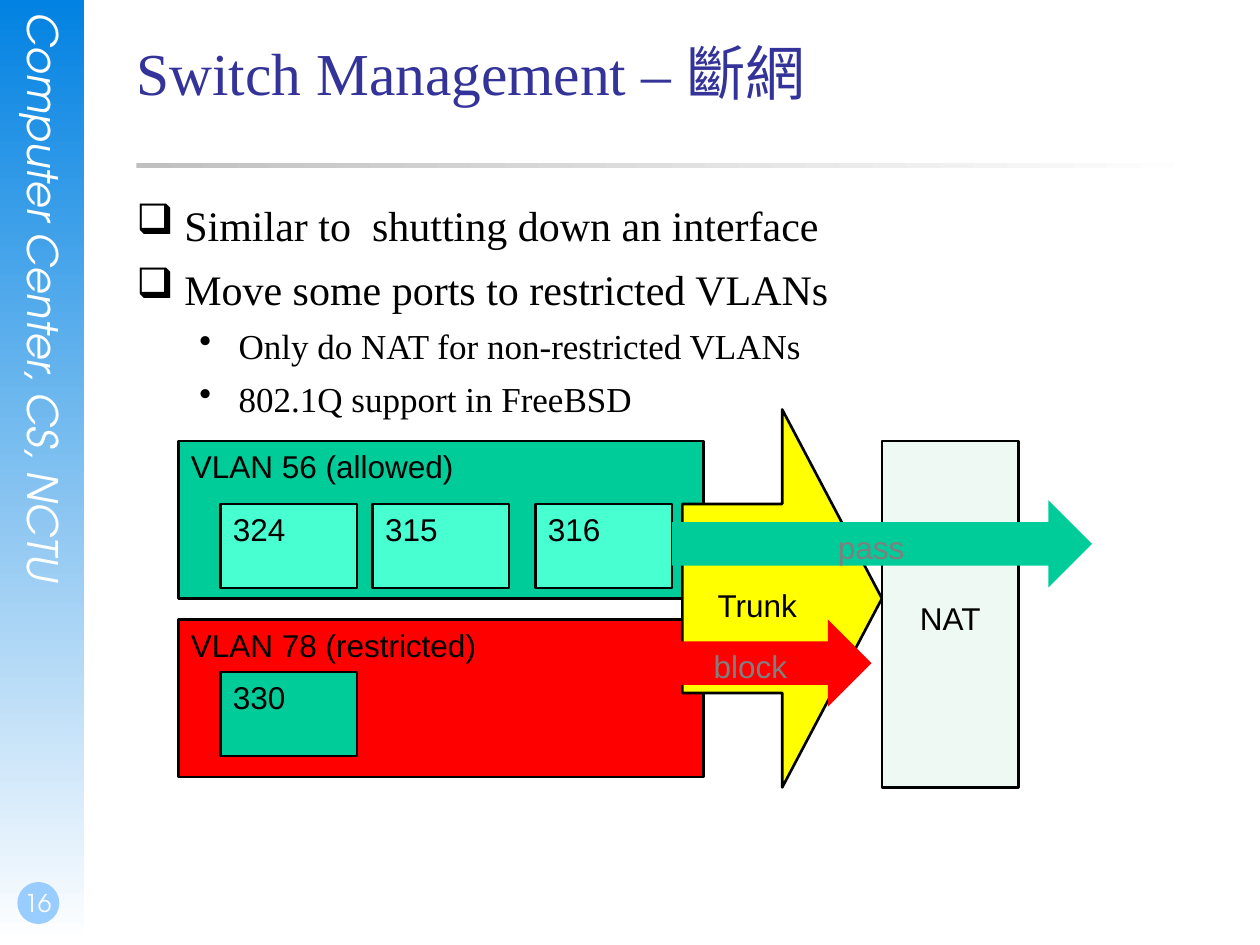
from dataclasses import dataclass
from typing import Optional

from lxml.etree import SubElement
from pptx import Presentation
from pptx.dml.color import RGBColor
from pptx.enum.shapes import MSO_SHAPE as Preset
from pptx.enum.text import MSO_ANCHOR as Anchor, MSO_AUTO_SIZE as AutoSize, PP_ALIGN as Align
from pptx.oxml.ns import qn
from pptx.util import Inches, Pt

COLS, ROWS = 120, 90
COLORS = {
    "sky": "0282E2", "white": "FFFFFF", "silver": "C0C0C0", "badge": "99CCFF",
    "navy": "333399", "black": "000000", "gray": "7F7F7F", "green": "00CC99",
    "mint": "47FFD1", "red": "FF0000", "yellow": "FFFF00", "pale": "EEF9F4",
}
SERIF, SANS, GEOMETRIC = "Times New Roman", "Arial", "TeX Gyre Adventor"


@dataclass
class Block:
    """A labelled diagram shape placed in grid columns and rows."""
    label: str
    col: float
    row: float
    cols: float
    rows: float
    fill: str
    preset: Preset = Preset.RECTANGLE
    align: Align = Align.LEFT
    ink: str = "black"
    line: Optional[str] = "black"
    top: float = 0.05


@dataclass
class Bullet:
    """An outline entry with its marker, indents in inches and sizes in points."""
    text: str
    marker: str
    size: int
    left: float
    hang: float
    before: float


def port(label: str, col: float, row: float, fill: str) -> Block:
    """Describe one switch port."""
    return Block(label, col, row, 13, 8, fill)


def flow(label: str, col: float, row: float, cols: float, fill: str) -> Block:
    """Describe one traffic arrow."""
    return Block(label, col, row, cols, 8.3, fill, Preset.RIGHT_ARROW, Align.CENTER, "gray", None)


DIAGRAM = [
    Block("VLAN 56 (allowed)", 17, 42, 50, 15, "green"),
    *(port(label, col, 48, "mint") for label, col in (("324", 21), ("315", 35.5), ("316", 51))),
    Block("VLAN 78 (restricted)", 17, 59, 50, 15, "red"),
    port("330", 21, 64, "green"),
    Block("Trunk", 65, 39, 19, 36, "yellow", Preset.RIGHT_ARROW, Align.CENTER, top=0.65),
    Block("NAT", 84, 42, 13, 33, "pale", align=Align.CENTER, top=1.25),
    flow("pass", 64, 47.65, 40, "green"),
    flow("block", 62, 59, 21, "red"),
]
OUTLINE = [
    *(Bullet(text, "❑", 24, 0.38, 0.38, 7.5) for text in (
        "Similar to  shutting down an interface", "Move some ports to restricted VLANs")),
    *(Bullet(text, "•", 20, 0.81, 0.31, 6.2) for text in (
        "Only do NAT for non-restricted VLANs", "802.1Q support in FreeBSD")),
]


def rgb(name: str) -> RGBColor:
    """Look up a palette colour."""
    return RGBColor.from_string(COLORS[name])


def cells(prs, col: float, row: float, cols: float, rows: float) -> tuple:
    """Turn grid units into left, top, width and height."""
    across, down = prs.slide_width / COLS, prs.slide_height / ROWS
    return tuple(int(v) for v in (col * across, row * down, cols * across, rows * down))


def set_frame(frame, insets=(0, 0, 0, 0), anchor=Anchor.TOP) -> None:
    """Apply insets, anchoring and wrapping to a text frame."""
    sides = ("margin_left", "margin_top", "margin_right", "margin_bottom")
    formats = dict(zip(sides, map(Inches, insets)))
    formats |= {"auto_size": AutoSize.NONE, "word_wrap": True, "vertical_anchor": anchor}
    for key, value in formats.items():
        setattr(frame, key, value)


def write(paragraph, text: str, size: float, font: str, ink: str,
          align: Align = Align.LEFT, italic: bool = False) -> None:
    """Write one formatted run into a paragraph."""
    paragraph.alignment = align
    run = paragraph.add_run()
    run.text = text
    for key, value in {"size": Pt(size), "name": font, "italic": italic}.items():
        setattr(run.font, key, value)
    run.font.color.rgb = rgb(ink)


def add_shape(slide, preset: Preset, box: tuple, fill: str, line: Optional[str] = None):
    """Add a flat preset shape."""
    shape = slide.shapes.add_shape(preset, *box)
    shape.shadow.inherit = False
    shape.fill.solid()
    shape.fill.fore_color.rgb = rgb(fill)
    if line:
        shape.line.color.rgb = rgb(line)
        shape.line.width = Pt(1.5)
    else:
        shape.line.fill.background()
    return shape


def add_fade(slide, box: tuple, start: str, angle: float) -> None:
    """Add a rectangle fading from a colour to white."""
    fill = add_shape(slide, Preset.RECTANGLE, box, start).fill
    fill.gradient()
    fill.gradient_angle = angle
    for stop, name, position in zip(fill.gradient_stops, (start, "white"), (0, 1)):
        stop.color.rgb = rgb(name)
        stop.position = position


def add_block(prs, slide, block: Block) -> None:
    """Draw one diagram block with its label."""
    box = cells(prs, block.col, block.row, block.cols, block.rows)
    shape = add_shape(slide, block.preset, box, block.fill, block.line)
    set_frame(shape.text_frame, (0.1, block.top, 0.1, 0.05))
    write(shape.text_frame.paragraphs[0], block.label, 18, SANS, block.ink, block.align)


def add_outline(prs, slide) -> None:
    """Write the bulleted outline."""
    frame = slide.shapes.add_textbox(*cells(prs, 13, 19, 102, 61)).text_frame
    set_frame(frame)
    for index, bullet in enumerate(OUTLINE):
        paragraph = frame.add_paragraph() if index else frame.paragraphs[0]
        props = paragraph._p.get_or_add_pPr()
        props.set("marL", str(Inches(bullet.left)))
        props.set("indent", str(-Inches(bullet.hang)))
        SubElement(props, qn("a:buChar")).set("char", bullet.marker)
        if index:
            paragraph.space_before = Pt(bullet.before)
        write(paragraph, bullet.text, bullet.size, SERIF, "black")


def add_sidebar(prs, slide) -> None:
    """Draw the side band with its vertical caption and page badge."""
    add_fade(slide, cells(prs, 0, 0, 8, ROWS), "sky", 270)
    caption = slide.shapes.add_textbox(*cells(prs, 1.8, 1.2, 4.8, 61.3)).text_frame
    set_frame(caption)
    caption._txBody.bodyPr.set("vert", "eaVert")
    write(caption.paragraphs[0], "Computer Center, CS, NCTU", 24, GEOMETRIC, "white",
          Align.CENTER, True)
    add_shape(slide, Preset.OVAL, cells(prs, 1.65, 84, 4, 4), "badge")
    page = slide.shapes.add_textbox(*cells(prs, 0, 82, 7, 6)).text_frame
    set_frame(page, (0.02, 0, 0, 0.05), Anchor.BOTTOM)
    write(page.paragraphs[0], "16", 14, GEOMETRIC, "white", Align.CENTER)


def add_title(prs, slide) -> None:
    """Place the title and the fading rule below it."""
    title = slide.shapes.title
    title.left, title.top, title.width, title.height = cells(prs, 13, 3.4, 102, 15)
    set_frame(title.text_frame)
    write(title.text_frame.paragraphs[0], "Switch Management – 斷網", 34, SERIF, "navy")
    add_fade(slide, cells(prs, 13, 15.5, 102, 0.5), "silver", 0)


def main() -> None:
    """Build and save the slide."""
    prs = Presentation()
    prs.slide_width, prs.slide_height = Inches(10), Inches(7.5)
    slide = prs.slides.add_slide(prs.slide_layouts[5])
    add_sidebar(prs, slide)
    add_title(prs, slide)
    add_outline(prs, slide)
    for block in DIAGRAM:
        add_block(prs, slide, block)
    prs.save("out.pptx")


if __name__ == "__main__":
    main()
